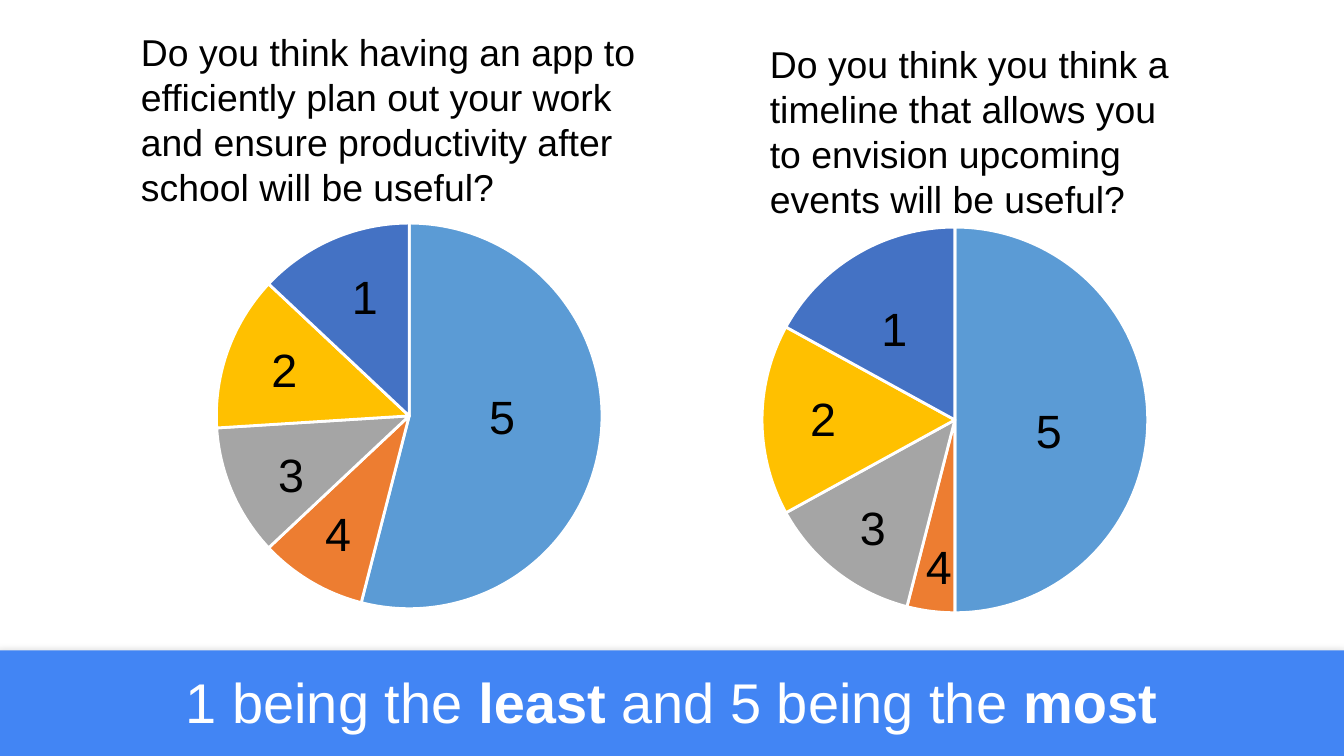
from lxml import etree
from pptx import Presentation
from pptx import util as u
from pptx.chart.data import CategoryChartData
from pptx.dml.color import RGBColor
from pptx.enum import chart as charts, shapes, text
from pptx.oxml import parse_xml
from pptx.oxml.ns import nsdecls, qn

BLACK = RGBColor(0x00, 0x00, 0x00)
WHITE = RGBColor(0xFF, 0xFF, 0xFF)
BANNER_BLUE = RGBColor(0x42, 0x85, 0xF4)
SLICE_COLORS = [
    RGBColor(0x5B, 0x9B, 0xD5),
    RGBColor(0xED, 0x7D, 0x31),
    RGBColor(0xA5, 0xA5, 0xA5),
    RGBColor(0xFF, 0xC0, 0x00),
    RGBColor(0x44, 0x72, 0xC4),
]

# The 16:9 slide is a grid of square cells, 100 columns wide.
CELL = u.Inches(0.1)
COLUMNS = 100
ROWS = COLUMNS * 9 / 16
PIE_SIZE = (34.3, 31.5)
PIE_DIAMETER = 28.7
LABEL_SIZE = (21.9, 5.2)


def cells(*lengths):
    return [round(length * CELL) for length in lengths]


def add_text(slide, box, runs, size, color=BLACK, align=text.PP_ALIGN.LEFT):
    """Add one paragraph of (wording, bold) runs in a box given in cells."""
    frame = slide.shapes.add_textbox(*cells(*box)).text_frame
    frame.word_wrap = True
    paragraph = frame.paragraphs[0]
    paragraph.alignment = align
    paragraph.font.name = "Arial"
    paragraph.font.size = u.Pt(size)
    paragraph.font.color.rgb = color
    for wording, bold in runs:
        run = paragraph.add_run()
        run.text = wording
        if bold:
            run.font.bold = True


def set_plot_area(chart, width, height):
    """Centre the plot area, sized as shares of the chart."""
    plot_area = chart._chartSpace.chart.plotArea
    for layout in plot_area.findall(qn("c:layout")):
        plot_area.remove(layout)
    layout = etree.Element(qn("c:layout"))
    manual = etree.SubElement(layout, qn("c:manualLayout"))
    settings = [
        ("layoutTarget", "inner"), ("xMode", "edge"), ("yMode", "edge"),
        ("x", (1 - width) / 2), ("y", (1 - height) / 2),
        ("w", width), ("h", height),
    ]
    for name, value in settings:
        etree.SubElement(manual, qn(f"c:{name}")).set("val", str(value))
    plot_area.insert(0, layout)


def add_pie(slide, left, top, values):
    data = CategoryChartData()
    data.categories = ["1", "2", "3", "4", "5"]
    data.add_series("Series 1", values)
    width, height = PIE_SIZE
    chart = slide.shapes.add_chart(
        charts.XL_CHART_TYPE.PIE, *cells(left, top, width, height), data
    ).chart
    chart.has_title = False
    chart.has_legend = False
    chart.font.name = "Calibri"
    chart.font.size = u.Pt(10)
    chart.font.color.rgb = BLACK
    chart.plots[0].vary_by_categories = True
    for index, color in enumerate(SLICE_COLORS):
        slice_format = chart.series[0].points[index].format
        slice_format.fill.solid()
        slice_format.fill.fore_color.rgb = color
        slice_format.line.color.rgb = WHITE
        slice_format.line.width = u.Pt(1.5)
    set_plot_area(chart, PIE_DIAMETER / width, PIE_DIAMETER / height)


def add_survey(slide, left, top, question, question_box, values, labels):
    """Add a pie with its question and ratings, all offset from the pie's corner."""
    add_pie(slide, left, top, values)
    across, down, width, height = question_box
    add_text(slide, (left + across, top + down, width, height),
             [(question, False)], 20)
    for rating, (across, down) in labels.items():
        add_text(slide, (left + across, top + down, *LABEL_SIZE),
                 [(rating, False)], 25)


def add_banner(slide, left, top, width, height):
    banner = slide.shapes.add_shape(
        shapes.MSO_SHAPE.RECTANGLE, *cells(left, top, width, height))
    banner.fill.solid()
    banner.fill.fore_color.rgb = BANNER_BLUE
    banner.line.fill.background()
    banner.shadow.inherit = False
    banner._element.spPr.find(qn("a:effectLst")).append(parse_xml(
        f'<a:outerShdw {nsdecls("a")} blurRad="{u.Pt(5)}" dist="{u.Pt(1)}" '
        'dir="5400000" rotWithShape="0"><a:srgbClr val="000000">'
        '<a:alpha val="25000"/></a:srgbClr></a:outerShdw>'))
    add_text(slide, (left + 13.1, top + 0.8, 74.3, 6.1),
             [("1 being the ", False), ("least", True),
              (" and 5 being the ", False), ("most", True)],
             30, WHITE, text.PP_ALIGN.CENTER)


def main():
    presentation = Presentation()
    presentation.slide_width, presentation.slide_height = cells(COLUMNS, ROWS)
    slide = presentation.slides.add_slide(presentation.slide_layouts[6])
    add_survey(
        slide, 13.3, 15.2,
        "Do you think having an app to efficiently plan out your work "
        "and ensure productivity after school will be useful?",
        (-3.8, -13.5, 40.1, 14.5), [54, 9, 11, 13, 13],
        {"1": (11.9, 4.2), "2": (5.9, 9.7), "3": (6.4, 17.5),
         "4": (9.9, 21.9), "5": (22.1, 13.2)})
    add_survey(
        slide, 53.9, 15.5,
        "Do you think you think a timeline that allows you to envision "
        "upcoming events will be useful?",
        (2.4, -12.9, 33.5, 14.5), [50, 4, 13, 16, 17],
        {"1": (10.7, 6.3), "2": (5.4, 13), "3": (9.1, 21.1),
         "4": (14, 24), "5": (22.2, 13.9)})
    add_banner(slide, -0.3, 48.4, 100.3, 8.2)
    presentation.save("out.pptx")


if __name__ == "__main__":
    main()
